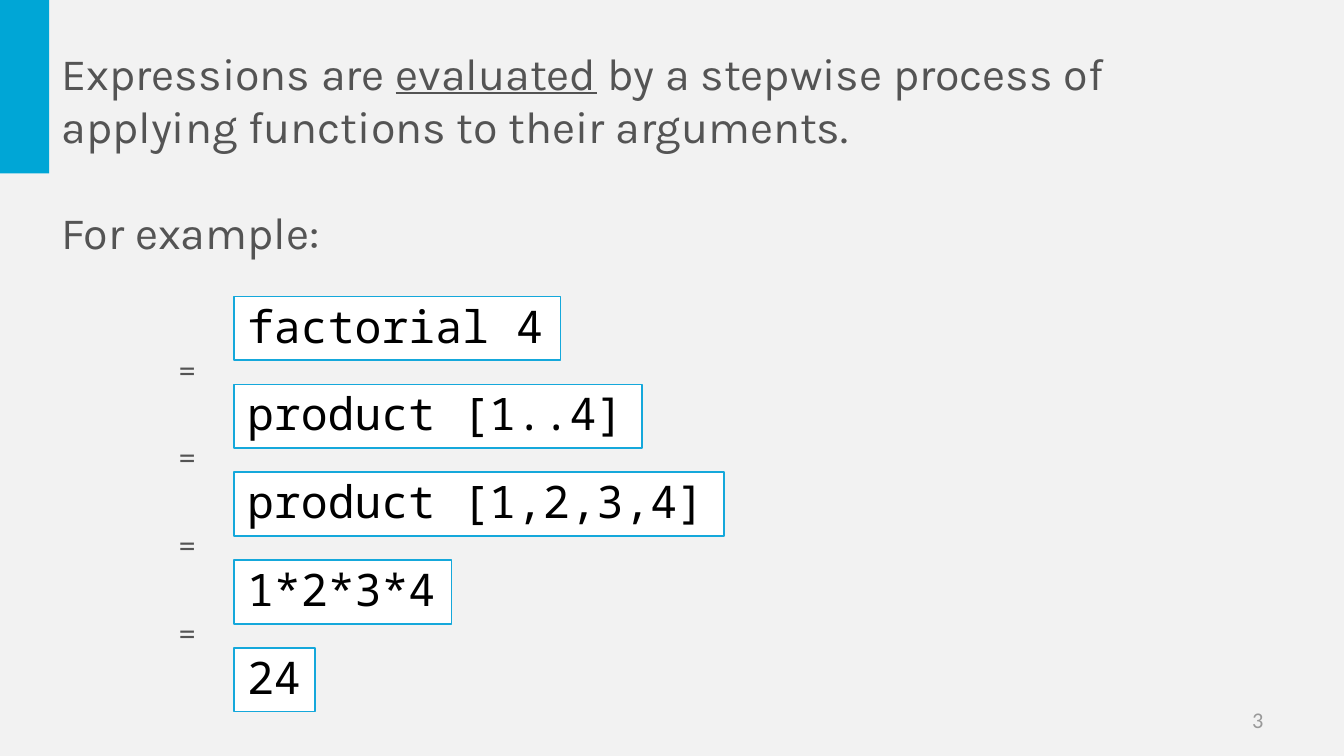
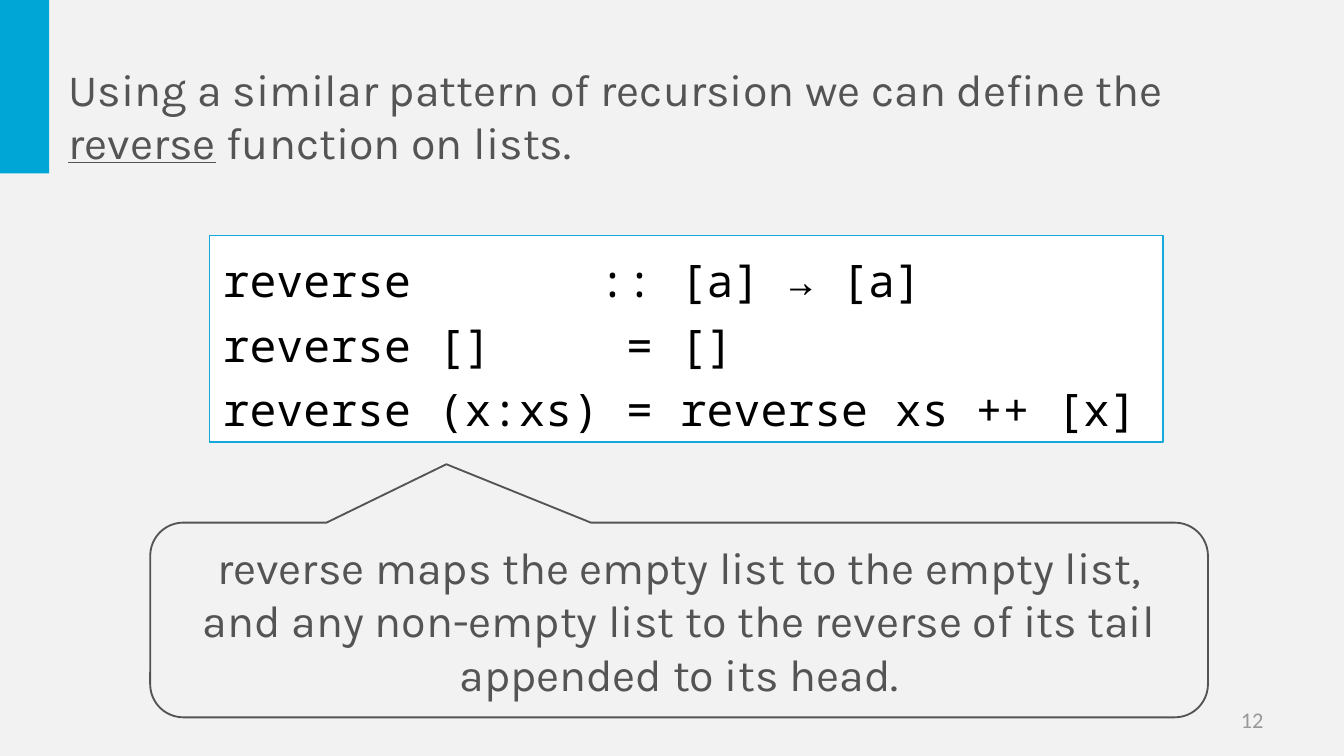
from dataclasses import dataclass

from pptx import Presentation
from pptx.dml.color import RGBColor
from pptx.enum.shapes import MSO_SHAPE as Shape
from pptx.enum.text import MSO_ANCHOR as Anchor, MSO_AUTO_SIZE as AutoSize, PP_ALIGN as Align
from pptx.util import Cm, Pt

# Statements are paragraphs of (text, underlined) runs.
EVALUATION = {
    "number": 3,
    "box": (0.91, 0.69, 23.32, 4.37),
    "statement": [
        [("Expressions are ", False), ("evaluated", True),
         (" by a stepwise process of applying functions to their arguments.", False)],
        [("For example:", False)],
    ],
    "steps": ["factorial 4", "product [1..4]", "product [1,2,3,4]", "1*2*3*4", "24"],
}
REVERSE = {
    "number": 12,
    "box": (1.04, 1.02, 22.96, 2.31),
    "statement": [
        [("Using a similar pattern of recursion we can define the ", False),
         ("reverse", True), (" function on lists.", False)],
    ],
    "code": [
        "reverse       :: [a] → [a]",
        "reverse []     = []",
        "reverse (x:xs) = reverse xs ++ [x]",
    ],
    "remark": "reverse maps the empty list to the empty list, and any non-empty list "
              "to the reverse of its tail appended to its head.",
}


@dataclass(frozen=True)
class Style:
    font: str
    size: int
    color: str


class Theme:
    paper, band, white, code_line = "F2F2F2", "00A6D6", "FFFFFF", "15A8DB"
    body = Style("Karla", 24, "545454")
    code = Style("Noto Sans Mono", 24, "000000")
    equals = Style("Calibri", 18, "545454")
    number = Style("Calibri", 12, "999999")
    blank_line = 28


# Lengths in centimetres
CODE_CHAR, CODE_PADDING = 0.515, 0.51
STEP_LEFT, STEP_TOP, STEP_HEIGHT, STEP_PITCH = 4.42, 5.61, 1.2, 1.66
EQUALS_LEFT, EQUALS_RISE, EQUALS_SIZE = 3.12, 0.81, (0.84, 1.02)


def rgb(color):
    return RGBColor.from_string(color)


def cm(box):
    return [Cm(v) for v in box]


def add_run(p, text, style, underline=False):
    r = p.add_run()
    r.text = text
    r.font.name, r.font.size = style.font, Pt(style.size)
    r.font.color.rgb = rgb(style.color)
    if underline:
        r.font.underline = True


def write(sp, paragraphs, style, align=Align.LEFT, spacing=None, wrap=True,
          before=0, fit=AutoSize.SHAPE_TO_FIT_TEXT):
    """Fill a shape with paragraphs of (text, underlined) runs; `before` spaces all but the first."""
    tf = sp.text_frame
    tf.word_wrap, tf.auto_size, tf.vertical_anchor = wrap, fit, Anchor.MIDDLE
    for i, runs in enumerate(paragraphs):
        p = tf.add_paragraph() if i else tf.paragraphs[0]
        p.alignment = align
        if spacing:
            p.line_spacing = spacing
        if i and before:
            p.space_before = Pt(before)
        for text, underline in runs:
            add_run(p, text, style, underline)


def add_shape(shapes, kind, box, fill=None, line=None, weight=1):
    sp = shapes.add_shape(kind, *cm(box))
    sp.shadow.inherit = False
    if fill:
        sp.fill.solid()
        sp.fill.fore_color.rgb = rgb(fill)
    else:
        sp.fill.background()
    if line:
        sp.line.color.rgb, sp.line.width = rgb(line), Pt(weight)
    else:
        sp.line.fill.background()
    return sp


def add_code(shapes, lines, left, top, height, spacing, weight):
    """White code box as wide as its longest line."""
    width = CODE_PADDING + CODE_CHAR * max(map(len, lines))
    sp = add_shape(shapes, Shape.RECTANGLE, (left, top, width, height),
                   Theme.white, Theme.code_line, weight)
    write(sp, [[(line, False)] for line in lines], Theme.code, spacing=spacing, wrap=False)


def add_slide(prs, content):
    """Slide with the band, its number and the statement as title."""
    s = prs.slides.add_slide(prs.slide_layouts.get_by_name("Title Only"))
    add_shape(s.shapes, Shape.RECTANGLE, (0, 0, 0.93, 3.28), Theme.band)
    number = s.shapes.add_textbox(*cm((18.21, 13.23, 5.92, 0.76)))
    write(number, [[(str(content["number"]), False)]], Theme.number, Align.RIGHT,
          fit=AutoSize.NONE)
    title = s.shapes.title
    title.left, title.top, title.width, title.height = cm(content["box"])
    write(title, content["statement"], Theme.body, before=Theme.blank_line)
    return s


def evaluation_slide(prs):
    s = add_slide(prs, EVALUATION)
    for i, step in enumerate(EVALUATION["steps"]):
        top = STEP_TOP + i * STEP_PITCH
        shapes = s.shapes.add_group_shape().shapes if i else s.shapes
        add_code(shapes, [step], STEP_LEFT, top, STEP_HEIGHT, 0.9, 1 if i else 0.75)
        if i:
            equals = shapes.add_textbox(*cm((EQUALS_LEFT, top - EQUALS_RISE, *EQUALS_SIZE)))
            write(equals, [[("=", False)]], Theme.equals, Align.CENTER, wrap=False)


def reverse_slide(prs):
    s = add_slide(prs, REVERSE)
    add_code(s.shapes, REVERSE["code"], 3.96, 4.45, 3.91, 1.2, 0.75)
    callout = add_shape(s.shapes, Shape.ROUNDED_RECTANGULAR_CALLOUT,
                        (2.84, 9.88, 19.99, 3.68), line=Theme.body.color)
    for i, value in enumerate((-0.22, -0.8, 0.17)):
        callout.adjustments[i] = value
    write(callout, [[(REVERSE["remark"], False)]], Theme.body, Align.CENTER)


def main():
    prs = Presentation()
    prs.slide_width, prs.slide_height = Cm(25.4), Cm(14.29)
    background = prs.slide_master.background.fill
    background.solid()
    background.fore_color.rgb = rgb(Theme.paper)
    evaluation_slide(prs)
    reverse_slide(prs)
    prs.save("out.pptx")


if __name__ == "__main__":
    main()
